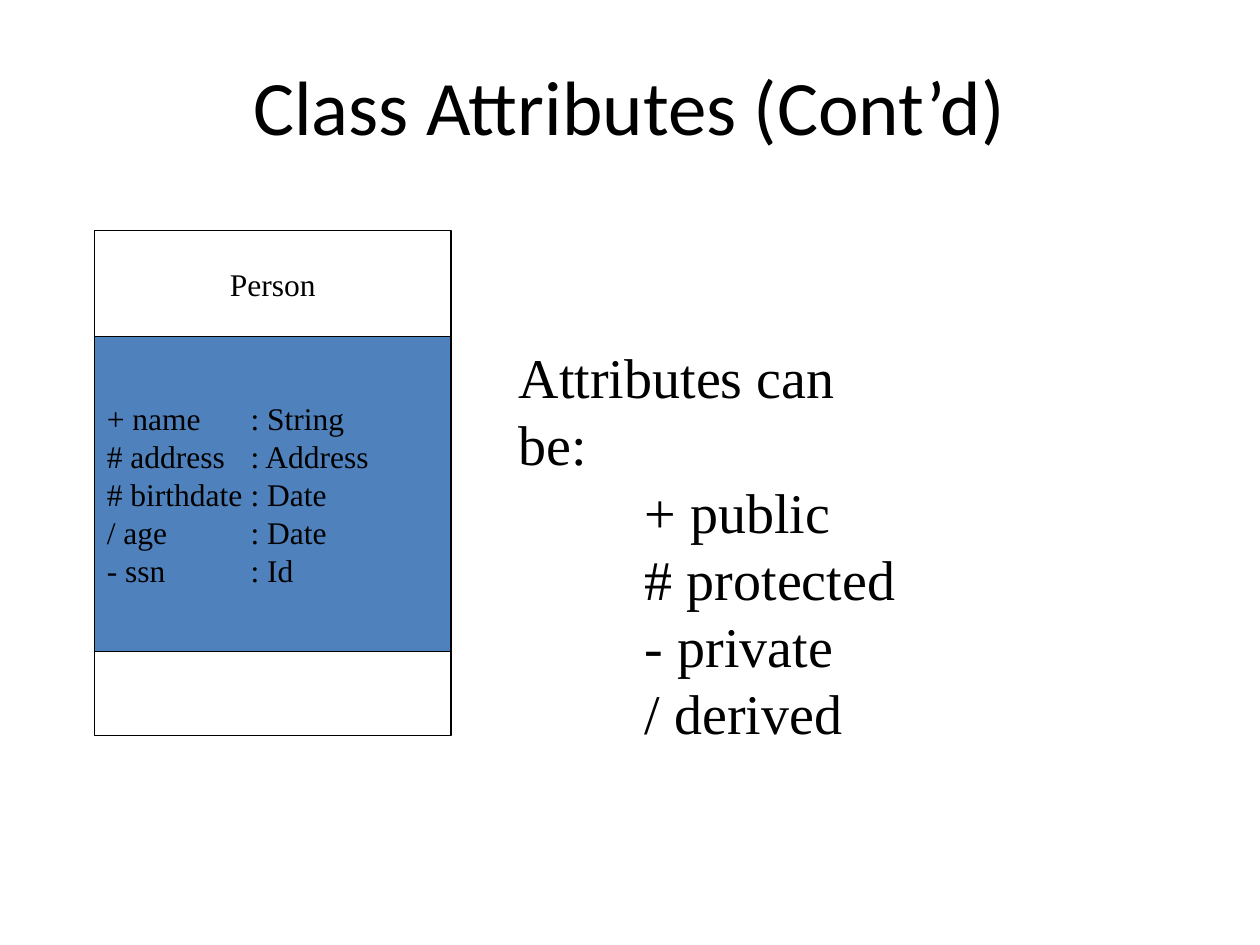
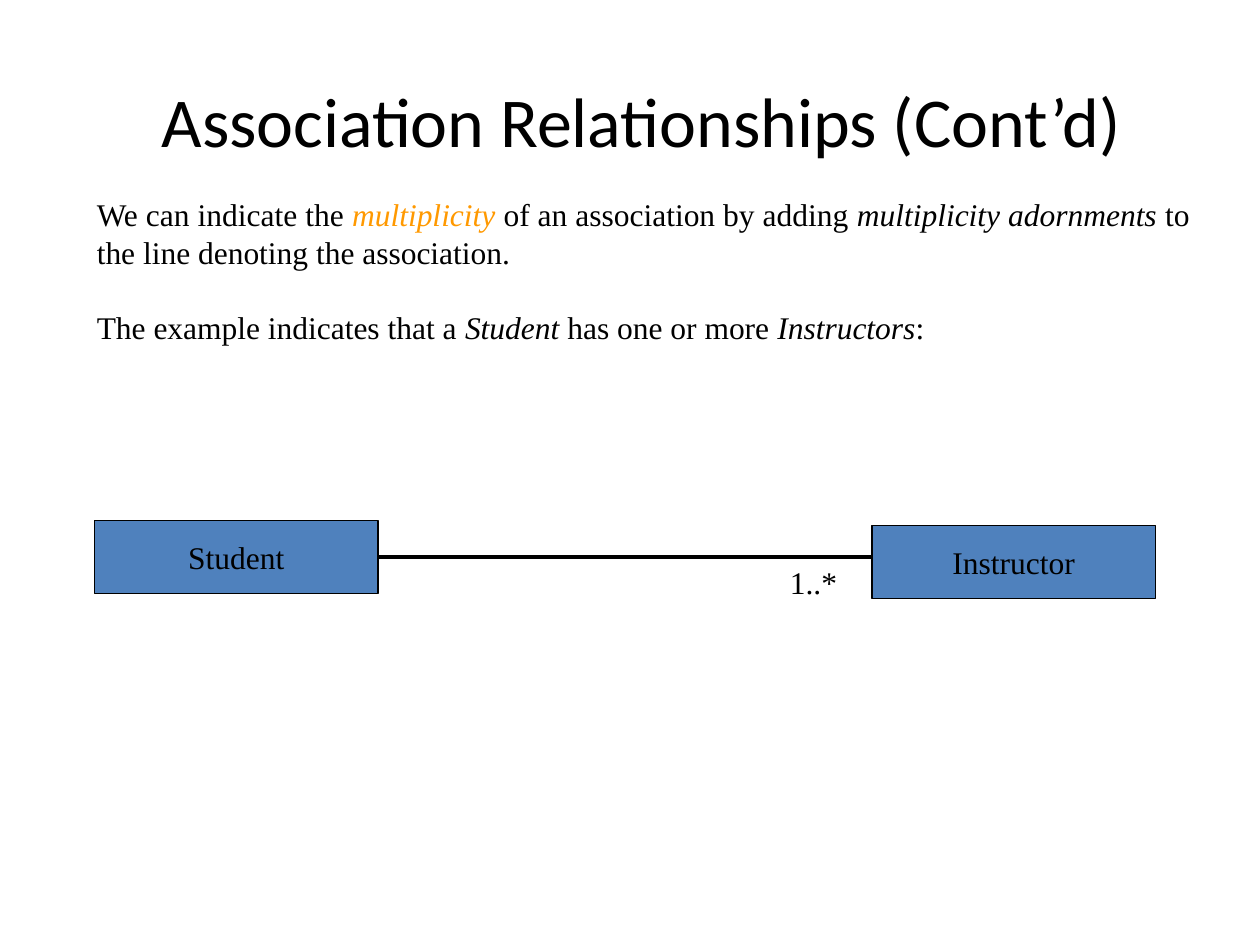
from lxml.etree import SubElement
from pptx import Presentation
from pptx.dml.color import RGBColor
from pptx.enum.shapes import MSO_CONNECTOR, MSO_SHAPE
from pptx.enum.text import MSO_ANCHOR, MSO_AUTO_SIZE, PP_ALIGN
from pptx.oxml.ns import qn
from pptx.util import Inches, Pt

BLACK = RGBColor(0x00, 0x00, 0x00)
WHITE = RGBColor(0xFF, 0xFF, 0xFF)
BLUE = RGBColor(0x4F, 0x81, 0xBD)
ORANGE = RGBColor(0xFF, 0x99, 0x00)

TITLE_FONT = {"name": "Calibri", "size": Pt(44), "color": BLACK}
BODY_FONT = {"name": "Times New Roman", "size": Pt(18), "color": BLACK}
ITALIC = {"italic": True}
KEY_TERM = {"italic": True, "color": ORANGE}
TITLE_ONLY = 5
CLASS_LEFT = 0.75


def apply_font(font, formats):
    """Set each format value on a font."""
    for name, value in formats.items():
        if name == "color":
            font.color.rgb = value
        else:
            setattr(font, name, value)


def add_tab_stop(paragraph, position):
    """Give a paragraph one left tab stop."""
    stops = SubElement(paragraph._p.get_or_add_pPr(), qn("a:tabLst"))
    SubElement(stops, qn("a:tab"), pos=str(Inches(position)), algn="l")


def write_text(frame, paragraphs, font=BODY_FONT, align=PP_ALIGN.LEFT,
               tab=None, gap=0):
    """Fill a frame with paragraphs, each a list of (text, formats) runs."""
    frame.word_wrap = True
    for index, runs in enumerate(paragraphs):
        paragraph = frame.add_paragraph() if index else frame.paragraphs[0]
        paragraph.alignment = align
        if index and gap:
            paragraph.space_before = Pt(gap)
        if tab:
            add_tab_stop(paragraph, tab)
        for text, formats in runs:
            run = paragraph.add_run()
            run.text = text
            apply_font(run.font, {**font, **formats})


def plain(*lines):
    """Turn lines into paragraphs of one unstyled run."""
    return [[(line, {})] for line in lines]


def add_titled_slide(deck, title, box, size):
    """Add a slide with a centred title in the given box."""
    slide = deck.slides.add_slide(deck.slide_layouts[TITLE_ONLY])
    heading = slide.shapes.title
    heading.left, heading.top, heading.width, heading.height = map(Inches, box)
    frame = heading.text_frame
    frame.auto_size = MSO_AUTO_SIZE.NONE
    frame.vertical_anchor = MSO_ANCHOR.MIDDLE
    write_text(frame, plain(title), {**TITLE_FONT, "size": Pt(size)},
               PP_ALIGN.CENTER)
    return slide


def add_class_box(slide, box, fill, lines=(), align=PP_ALIGN.CENTER, tab=None):
    """Add an outlined class compartment with optional lines of text."""
    compartment = slide.shapes.add_shape(MSO_SHAPE.RECTANGLE, *map(Inches, box))
    compartment.shadow.inherit = False
    compartment.fill.solid()
    compartment.fill.fore_color.rgb = fill
    compartment.line.color.rgb = BLACK
    compartment.line.width = Pt(0.75)
    compartment.text_frame.vertical_anchor = MSO_ANCHOR.MIDDLE
    write_text(compartment.text_frame, plain(*lines), align=align, tab=tab)


def add_text(slide, box, paragraphs, **style):
    """Add a wrapped text box."""
    text_box = slide.shapes.add_textbox(*map(Inches, box))
    write_text(text_box.text_frame, paragraphs, **style)


def add_association(slide, start, end, height):
    """Add a horizontal association line."""
    association = slide.shapes.add_connector(
        MSO_CONNECTOR.STRAIGHT, *map(Inches, (start, height, end, height)))
    association.line.color.rgb = BLACK
    association.line.width = Pt(2.25)
    SubElement(association._element.spPr, qn("a:effectLst"))


def build_attributes(deck):
    """Build the slide on attribute visibility."""
    slide = add_titled_slide(deck, "Class Attributes (Cont’d)",
                             (0.73, 0.33, 8.53, 1), 44)
    attributes = ("+ name\t: String", "# address\t: Address",
                  "# birthdate\t: Date", "/ age\t: Date", "- ssn\t: Id")
    width = 2.83
    add_class_box(slide, (CLASS_LEFT, 1.83, width, 0.84), WHITE, ["Person"])
    add_class_box(slide, (CLASS_LEFT, 2.67, width, 2.5), BLUE, attributes,
                  PP_ALIGN.LEFT, tab=1.14)
    add_class_box(slide, (CLASS_LEFT, 5.17, width, 0.67), WHITE)
    add_text(slide, (4.02, 2.67, 3.36, 2.77),
             plain("Attributes can be:", "\t+ public", "\t# protected",
                   "\t- private", "\t/ derived"),
             font={**BODY_FONT, "size": Pt(32)}, tab=1)


def build_associations(deck):
    """Build the slide on association multiplicity."""
    slide = add_titled_slide(deck, "Association Relationships (Cont’d)",
                             (1, 0.75, 8.18, 0.4), 40)
    explanation = [
        [("We can indicate the ", {}), ("multiplicity", KEY_TERM),
         (" of an association by adding ", {}),
         ("multiplicity adornments", ITALIC),
         (" to the line denoting the association.", {})],
        [("The example indicates that a ", {}), ("Student", ITALIC),
         (" has one or more ", {}), ("Instructors", ITALIC), (":", {})],
    ]
    add_text(slide, (0.67, 1.5, 8.87, 1.3), explanation,
             align=PP_ALIGN.JUSTIFY, gap=21)
    width, height, line_top, instructor_left = 2.25, 0.58, 4.42, 6.92
    add_association(slide, CLASS_LEFT + width, instructor_left, line_top)
    add_class_box(slide, (instructor_left, 4.17, width, height), BLUE,
                  ["Instructor"])
    add_class_box(slide, (CLASS_LEFT, 4.13, width, height), BLUE, ["Student"])
    add_text(slide, (6.17, line_top, 0.75, 0.4), plain("1..*"))


def main():
    """Build and save the presentation."""
    deck = Presentation()
    deck.slide_width, deck.slide_height = Inches(10), Inches(7.5)
    build_attributes(deck)
    build_associations(deck)
    deck.save("out.pptx")


if __name__ == "__main__":
    main()
